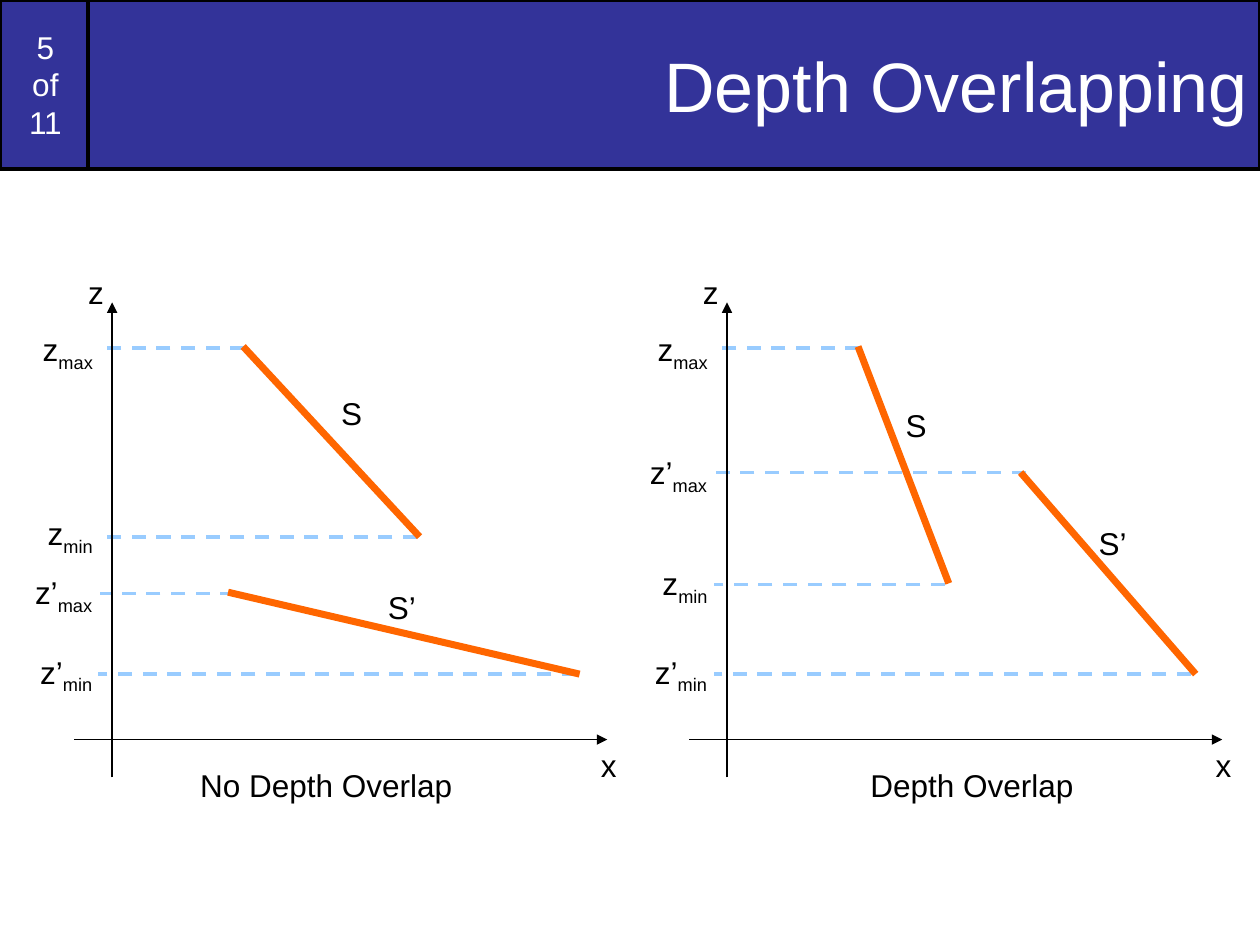
from dataclasses import dataclass

import pptx
import pptx.dml.color
import pptx.enum.dml
import pptx.enum.shapes
import pptx.enum.text
import pptx.oxml
import pptx.oxml.ns
import pptx.util
from pptx.util import Inches

RGBColor = pptx.dml.color.RGBColor
Align = pptx.enum.text.PP_ALIGN

NAVY = RGBColor(0x33, 0x33, 0x99)
SKY = RGBColor(0x99, 0xCC, 0xFF)
ORANGE = RGBColor(0xFF, 0x66, 0x00)
BLACK = RGBColor(0, 0, 0)
WHITE = RGBColor(0xFF, 0xFF, 0xFF)

Point = tuple[float, float]
LEVEL_LABEL_RIGHT = 0.85
LEVEL_LABEL_WIDTHS = {"zmax": 0.61, "zmin": 0.57, "z’max": 0.67, "z’min": 0.63}


@dataclass(frozen=True)
class Level:
    """A depth bound on the z axis; x values are relative to the panel."""
    symbol: str
    bound: str
    guide_from: Point
    guide_left: float
    label_top: float


@dataclass(frozen=True)
class Surface:
    name: str
    start: Point
    end: Point
    label_at: Point
    label_width: float


@dataclass(frozen=True)
class Panel:
    left: float
    levels: list[Level]
    surfaces: list[Surface]
    caption: str
    caption_left: float
    caption_width: float


PANELS = [
    Panel(
        0,
        [
            Level("z", "max", (1.94, 2.76), 0.78, 2.57),
            Level("z", "min", (3.31, 4.26), 0.78, 4.03),
            Level("z’", "max", (1.86, 4.71), 0.79, 4.5),
            Level("z’", "min", (4.57, 5.35), 0.78, 5.13),
        ],
        [
            Surface("S", (1.93, 2.75), (3.33, 4.26), (2.61, 3.08), 0.36),
            Surface("S’", (1.81, 4.7), (4.6, 5.35), (2.98, 4.62), 0.42),
        ],
        "No Depth Overlap", 1.49, 2.2,
    ),
    Panel(
        4.88,
        [
            Level("z", "max", (1.94, 2.76), 0.79, 2.57),
            Level("z", "min", (2.62, 4.64), 0.79, 4.43),
            Level("z’", "max", (3.26, 3.75), 0.79, 3.55),
            Level("z’", "min", (4.57, 5.35), 0.79, 5.13),
        ],
        [
            Surface("S", (1.93, 2.75), (2.65, 4.63), (2.21, 3.17), 0.36),
            Surface("S’", (3.22, 3.75), (4.61, 5.35), (3.74, 4.11), 0.42),
        ],
        "Depth Overlap", 1.93, 1.81,
    ),
]


def write(frame, text: str, *, subscript: str = "", size: float = 18,
          color: RGBColor = BLACK, align=Align.LEFT) -> None:
    paragraph = frame.paragraphs[0]
    paragraph.alignment = align
    for index, line in enumerate(text.split("\n")):
        if index:
            paragraph.add_line_break()
        paragraph.add_run().text = line
    if subscript:
        lowered = paragraph.add_run()
        lowered.text = subscript
        lowered.font._element.set("baseline", "-25000")
    for run in paragraph.runs:
        run.font.name = "Arial"
        run.font.size = pptx.util.Pt(size)
        run.font.color.rgb = color


def add_label(slide, left: float, top: float, width: float, text: str,
              subscript: str = "") -> None:
    height = 0.44 if subscript else 0.4
    box = slide.shapes.add_textbox(Inches(left), Inches(top), Inches(width), Inches(height))
    box.text_frame.word_wrap = False
    box.text_frame.auto_size = pptx.enum.text.MSO_AUTO_SIZE.SHAPE_TO_FIT_TEXT
    write(box.text_frame, text, subscript=subscript)


def add_header_cell(slide, left: float, width: float, height: float, text: str,
                    size: float, align) -> None:
    cell = slide.shapes.add_shape(pptx.enum.shapes.MSO_SHAPE.RECTANGLE,
                                  Inches(left), 0, Inches(width), Inches(height))
    cell.shadow.inherit = False
    cell.fill.solid()
    cell.fill.fore_color.rgb = NAVY
    cell.line.color.rgb = BLACK
    cell.line.width = pptx.util.Pt(2)
    cell.text_frame.word_wrap = True
    cell.text_frame.vertical_anchor = pptx.enum.text.MSO_ANCHOR.MIDDLE
    write(cell.text_frame, text, size=size, color=WHITE, align=align)


def add_line(slide, start: Point, end: Point, color: RGBColor, width: float, *,
             left: float = 0, dashed: bool = False, arrow: bool = False) -> None:
    """Draw a line whose x values are measured from left."""
    line = slide.shapes.add_connector(
        pptx.enum.shapes.MSO_CONNECTOR.STRAIGHT,
        Inches(left + start[0]), Inches(start[1]), Inches(left + end[0]), Inches(end[1]))
    line.line.color.rgb = color
    line.line.width = pptx.util.Pt(width)
    if dashed:
        line.line.dash_style = pptx.enum.dml.MSO_LINE.DASH
    if arrow:
        tip = pptx.oxml.parse_xml(
            f'<a:tailEnd {pptx.oxml.ns.nsdecls("a")} type="triangle"/>')
        line.line._get_or_add_ln().append(tip)
    line._element.spPr.append(
        pptx.oxml.parse_xml(f'<a:effectLst {pptx.oxml.ns.nsdecls("a")}/>'))


def add_panel(slide, panel: Panel) -> None:
    left = panel.left
    for level in panel.levels:
        add_line(slide, level.guide_from, (level.guide_left, level.guide_from[1]),
                 SKY, 2, left=left, dashed=True)
    add_line(slide, (0.89, 6.17), (0.89, 2.4), BLACK, 1, left=left, arrow=True)
    add_line(slide, (0.59, 5.87), (4.82, 5.87), BLACK, 1, left=left, arrow=True)
    for surface in panel.surfaces:
        add_line(slide, surface.start, surface.end, ORANGE, 4, left=left)
    for surface in panel.surfaces:
        x, y = surface.label_at
        add_label(slide, left + x, y, surface.label_width, surface.name)
    for level in panel.levels:
        width = LEVEL_LABEL_WIDTHS[level.symbol + level.bound]
        add_label(slide, left + LEVEL_LABEL_RIGHT - width, level.label_top, width,
                  level.symbol, level.bound)
    add_label(slide, left + 4.67, 5.87, 0.32, "x")
    add_label(slide, left + 0.6, 2.12, 0.32, "z")
    add_label(slide, left + panel.caption_left, 6.03, panel.caption_width, panel.caption)


def main() -> None:
    deck = pptx.Presentation()
    deck.slide_width, deck.slide_height = Inches(10), Inches(7.5)
    slide = deck.slides.add_slide(deck.slide_layouts[6])
    add_header_cell(slide, 0, 0.72, 1.34, "5\nof\n11", 18, Align.CENTER)
    add_header_cell(slide, 0.7, 9.3, 1.34, "Depth Overlapping", 40, Align.RIGHT)
    for panel in PANELS:
        add_panel(slide, panel)
    deck.save("out.pptx")


if __name__ == "__main__":
    main()
